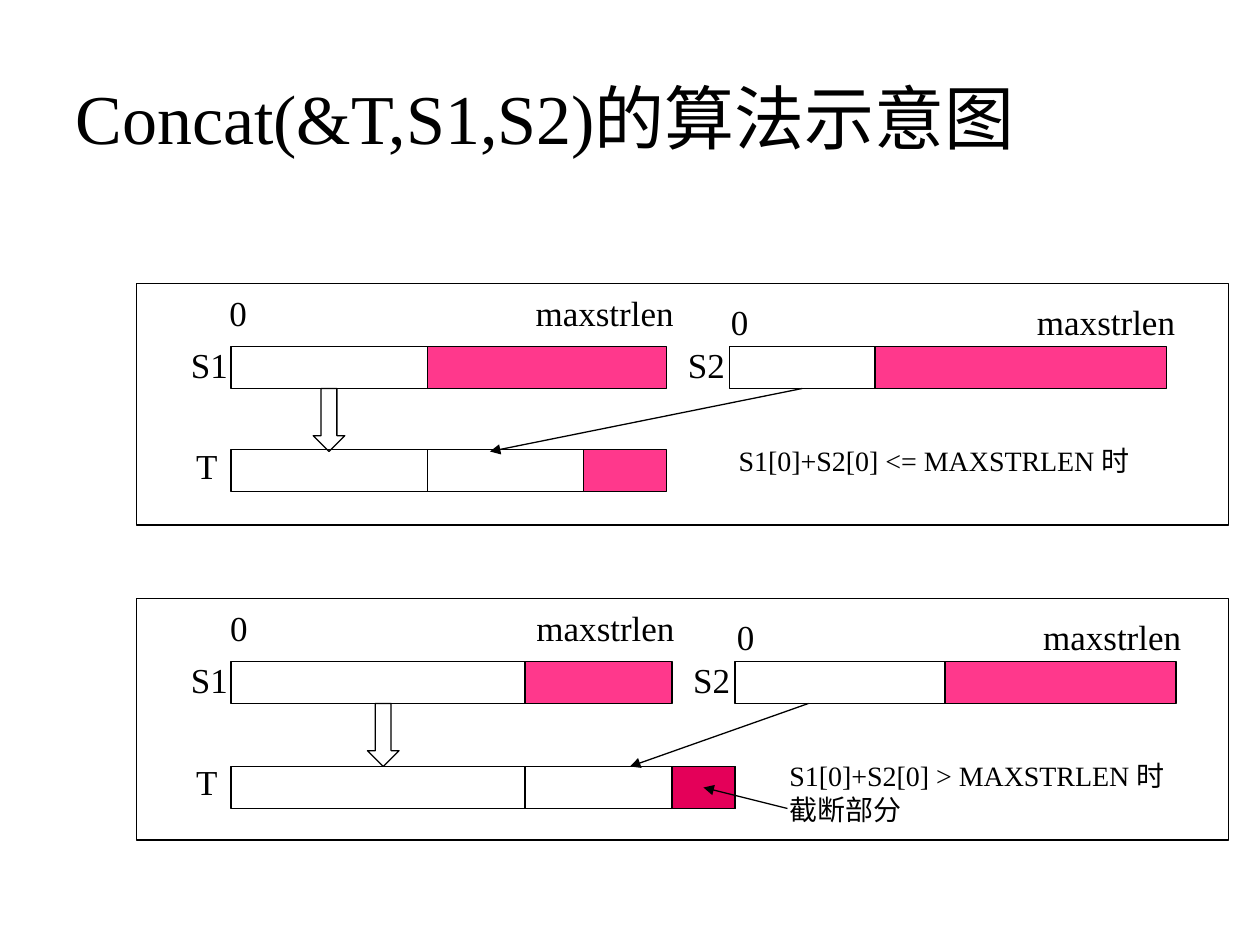
from dataclasses import dataclass
from typing import Optional

import pptx
import pptx.dml.color
import pptx.enum.shapes
import pptx.enum.text
import pptx.oxml
import pptx.oxml.ns
import pptx.util

Pt = pptx.util.Pt
Kind = pptx.enum.shapes.MSO_SHAPE
FONT = "Times New Roman"
HUES = {"ink": "000000", "free": "FF388C", "cut": "E40059"}
BAR_H = 24
SCALE_W = 269


@dataclass
class Cell:
    left: float
    width: float
    hue: Optional[str] = None


@dataclass
class Bar:
    name: str
    tag: tuple[float, float]    # label left, label offset above the bar
    top: float                  # from the panel top
    cells: list[Cell]


@dataclass
class Arrow:
    start: tuple[float, float]  # y is from the panel top
    end: tuple[float, float]
    tail: Optional[tuple[str, int]] = None  # cell whose bottom it leaves
    head: Optional[tuple[str, int]] = None  # cell whose top it meets


@dataclass
class Panel:
    top: float
    scales: list[tuple[float, float]]
    bars: list[Bar]
    block: tuple[float, float]  # left and offset of the block arrow
    arrows: list[Arrow]
    note: str
    spot: tuple[float, float, float, float]


def color(name: str):
    return pptx.dml.color.RGBColor.from_string(HUES[name])


def style(frame, size: float) -> None:
    for para in frame.paragraphs:
        for run in para.runs:
            run.font.name, run.font.size = FONT, Pt(size)
            run.font.color.rgb = color("ink")


def write(slide, text: str, box: tuple, size: float = 20):
    frame = slide.shapes.add_textbox(*map(Pt, box)).text_frame
    frame.text = text
    frame.word_wrap = False
    frame.auto_size = pptx.enum.text.MSO_AUTO_SIZE.SHAPE_TO_FIT_TEXT
    style(frame, size)
    return frame


def shape(slide, kind, box: tuple, hue: Optional[str] = None):
    item = slide.shapes.add_shape(kind, *map(Pt, box))
    item.shadow.inherit = False
    if hue:
        item.fill.solid()
        item.fill.fore_color.rgb = color(hue)
    else:
        item.fill.background()
    item.line.color.rgb = color("ink")
    item.line.width = Pt(0.75)
    return item


def scale(slide, left: float, top: float) -> None:
    frame = write(slide, "0\tmaxstrlen", (left, top, SCALE_W, 31.5))
    frame.word_wrap = True
    props = frame.paragraphs[0]._p.get_or_add_pPr()
    props.append(pptx.oxml.parse_xml(
        f'<a:tabLst {pptx.oxml.ns.nsdecls("a")}>'
        f'<a:tab pos="{Pt(SCALE_W - 15)}" algn="r"/></a:tabLst>'))


def link(slide, arrow: Arrow, top: float, cells: dict) -> None:
    (x1, y1), (x2, y2) = arrow.start, arrow.end
    line = slide.shapes.add_connector(
        pptx.enum.shapes.MSO_CONNECTOR.STRAIGHT,
        Pt(x1), Pt(top + y1), Pt(x2), Pt(top + y2))
    if arrow.tail:
        line.begin_connect(cells[arrow.tail], 2)
    if arrow.head:
        line.end_connect(cells[arrow.head], 0)
    line.line.color.rgb = color("ink")
    line.line.width = Pt(0.75)
    space = pptx.oxml.ns.nsdecls("a")
    line.line._get_or_add_ln().append(
        pptx.oxml.parse_xml(f'<a:tailEnd {space} type="triangle"/>'))
    line._element.spPr.append(pptx.oxml.parse_xml(f"<a:effectLst {space}/>"))


def draw(slide, panel: Panel) -> None:
    # Bars and their names
    cells = {}
    for bar in panel.bars:
        top = panel.top + bar.top
        for i, cell in enumerate(bar.cells):
            cells[bar.name, i] = shape(
                slide, Kind.RECTANGLE,
                (cell.left, top, cell.width, BAR_H), cell.hue)
        left, rise = bar.tag
        wide = 36 if len(bar.name) > 1 else 27
        write(slide, bar.name, (left, top - rise, wide, 31.5))
    for left, drop in panel.scales:
        scale(slide, left, panel.top + drop)

    # Arrows, note and frame
    left, drop = panel.block
    shape(slide, Kind.DOWN_ARROW, (left, panel.top + drop, 18, 36))
    for arrow in panel.arrows:
        link(slide, arrow, panel.top, cells)
    left, drop, wide, high = panel.spot
    write(slide, panel.note, (left, panel.top + drop, wide, high), 16)
    shape(slide, Kind.RECTANGLE, (78, panel.top, 624, 138))


PANELS = [
    Panel(162, [(124, 1), (410.5, 6)], [
        Bar("S1", (102, 5), 36, [Cell(132, 112.5), Cell(244.5, 136.5, "free")]),
        Bar("S2", (386, 5), 36, [Cell(417, 83), Cell(500, 166.5, "free")]),
        Bar("T", (105, 6.5), 95, [Cell(132, 112.5), Cell(244.5, 89),
                                  Cell(333.5, 47.5, "free")]),
    ], (179, 60), [Arrow((458, 60), (280, 96), tail=("S2", 0))],
        "S1[0]+S2[0] <= MAXSTRLEN 时", (415, 88, 242, 26.5)),
    Panel(342, [(124.5, 1), (414, 6)], [
        Bar("S1", (102, 5), 36, [Cell(132, 168), Cell(300, 84, "free")]),
        Bar("S2", (389, 5), 36, [Cell(420, 126), Cell(540, 132, "free")]),
        Bar("T", (105, 7), 96, [Cell(132, 168), Cell(300, 120),
                                Cell(384, 36, "cut")]),
    ], (210, 60), [Arrow((462, 60), (360, 96), head=("T", 1)),
                   Arrow((450, 120), (402, 108))],
        "S1[0]+S2[0] > MAXSTRLEN 时\n截断部分", (444, 88, 233, 46)),
]


def main() -> None:
    deck = pptx.Presentation()
    deck.slide_width, deck.slide_height = Pt(720), Pt(540)
    slide = deck.slides.add_slide(deck.slide_layouts[5])

    # Title
    title = slide.shapes.title
    title.left, title.top, title.width, title.height = map(
        Pt, (36, 21.5, 648, 90))
    frame = title.text_frame
    frame.text = "Concat(&T,S1,S2)的算法示意图"
    frame.vertical_anchor = pptx.enum.text.MSO_ANCHOR.MIDDLE
    frame.paragraphs[0].alignment = pptx.enum.text.PP_ALIGN.JUSTIFY
    style(frame, 40)

    for panel in PANELS:
        draw(slide, panel)
    deck.save("out.pptx")


if __name__ == "__main__":
    main()
